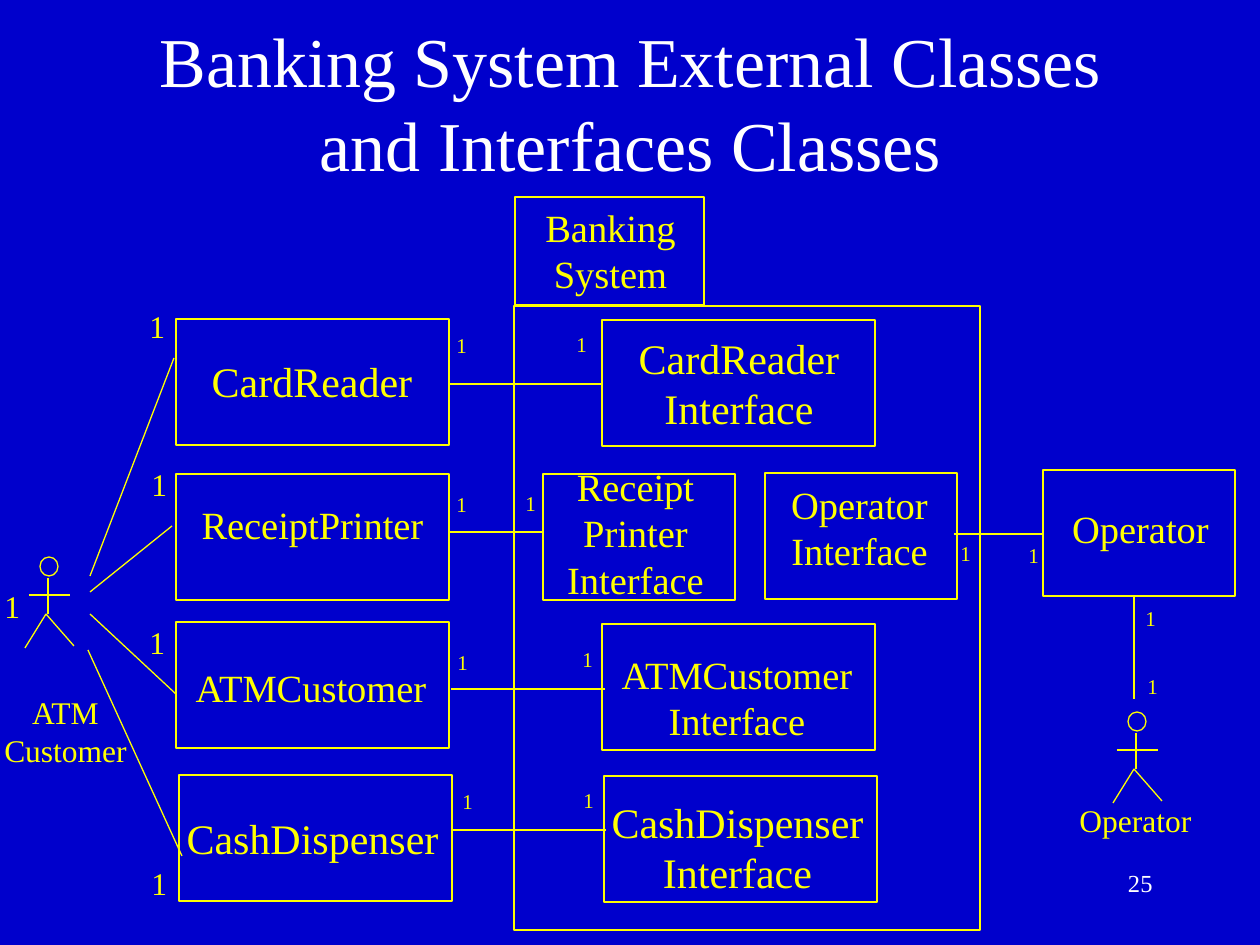
"""Build the slide of external and interface classes of a banking system."""
from typing import NamedTuple

from lxml import etree
from pptx import Presentation
from pptx import util as u
from pptx.dml.color import RGBColor
from pptx.enum import shapes, text
from pptx.oxml.ns import qn

PIXELS_PER_INCH = 126
LINE_HEIGHT = 1.2
FONT = "Times New Roman"
BLUE = RGBColor(0x00, 0x00, 0xCC)
YELLOW = RGBColor(0xFF, 0xFF, 0x00)
WHITE = RGBColor(0xFF, 0xFF, 0xFF)
LEFT, CENTER, RIGHT = text.PP_ALIGN.LEFT, text.PP_ALIGN.CENTER, text.PP_ALIGN.RIGHT


class Box(NamedTuple):
    left: int
    top: int
    width: int = 273
    height: int = 126


class Label(NamedTuple):
    left: int
    top: int
    width: int
    lines: str
    size: int = 22
    align: int = CENTER
    color: RGBColor = YELLOW


class Line(NamedTuple):
    x1: int
    y1: int
    x2: int
    y2: int


SYSTEM_FRAME = Box(514, 306, 466, 624)
BOXES = [
    Box(176, 319), Box(176, 474), Box(176, 622), Box(179, 775),
    Box(515, 197, 189, 108), Box(1043, 470, 192),
    SYSTEM_FRAME,
    Box(602, 320), Box(602, 624), Box(604, 776),
    Box(543, 474, 192), Box(765, 473, 192),
]
CLASS_LABELS = [
    Label(197, 349, 230, "CardReader", 24),
    Label(187, 495, 251, "ReceiptPrinter"),
    Label(179, 658, 264, "ATMCustomer"),
    Label(172, 806, 281, "CashDispenser", 24),
    Label(531, 198, 159, "Banking\nSystem"),
    Label(1056, 499, 169, "Operator"),
    Label(624, 326, 230, "CardReader\nInterface", 24),
    Label(551, 457, 169, "Receipt\nPrinter\nInterface"),
    Label(775, 475, 169, "Operator\nInterface"),
    Label(605, 645, 264, "ATMCustomer\nInterface"),
    Label(597, 790, 281, "CashDispenser\nInterface", 24),
]
ACTOR_LABELS = [
    Label(-12, 687, 155, "ATM\nCustomer", 18),
    Label(1065, 795, 141, "Operator", 18),
]
CUSTOMER_ONES = [(137, 301), (139, 459), (137, 617), (139, 858), (-8, 581)]
INTERFACE_ONES = [
    (444, 326), (564, 325), (444, 485), (513, 484), (445, 643), (570, 640),
    (450, 782), (571, 781), (948, 534), (1016, 536), (1133, 599), (1135, 667),
]
MULTIPLICITIES = [Label(x, y, 41, "1", 18, LEFT) for x, y in CUSTOMER_ONES] + [
    Label(x, y, 36, "1", 12, LEFT) for x, y in INTERFACE_ONES
]
ASSOCIATIONS = [
    Line(90, 576, 174, 358), Line(90, 592, 172, 526),
    Line(90, 614, 176, 694), Line(88, 650, 182, 856),
    Line(449, 384, 602, 384), Line(450, 532, 544, 532),
    Line(451, 689, 605, 689), Line(452, 830, 606, 830),
    Line(954, 534, 1042, 534), Line(1134, 699, 1134, 597),
]
ACTOR_HEADS = [(40, 557), (1128, 712)]
ACTOR_LIMBS = [
    Line(-11, 38, 30, 38), Line(8, 21, 8, 57),
    Line(6, 57, -15, 91), Line(6, 57, 34, 89),
]


def px(length: float) -> int:
    """Turn pixels into EMU."""
    return u.Inches(length / PIXELS_PER_INCH)


def draw_outline(parent, box: Box, kind=shapes.MSO_SHAPE.RECTANGLE) -> None:
    """Draw an unfilled shape with a thin yellow line."""
    shape = parent.add_shape(kind, *map(px, box))
    shape.shadow.inherit = False
    shape.fill.background()
    shape.line.color.rgb = YELLOW
    shape.line.width = u.Pt(0.75)


def draw_line(parent, line: Line) -> None:
    """Draw a thin straight yellow line without shadow."""
    connector = parent.add_connector(shapes.MSO_CONNECTOR.STRAIGHT, *map(px, line))
    connector.line.color.rgb = YELLOW
    connector.line.width = u.Pt(0.75)
    etree.SubElement(connector._element.spPr, qn("a:effectLst"))


def draw_label(parent, label: Label):
    """Draw a text box with one paragraph per line and return its shape."""
    count = label.lines.count("\n") + 1
    height = u.Pt(label.size * LINE_HEIGHT * count) + u.Inches(0.1)
    shape = parent.add_textbox(px(label.left), px(label.top), px(label.width), height)
    frame = shape.text_frame
    frame.word_wrap = False
    frame.auto_size = text.MSO_AUTO_SIZE.SHAPE_TO_FIT_TEXT
    frame.text = label.lines
    for paragraph in frame.paragraphs:
        paragraph.alignment = label.align
        paragraph.font.name = FONT
        paragraph.font.size = u.Pt(label.size)
        paragraph.font.color.rgb = label.color
    return shape


def draw_fixed_label(parent, label: Label, height: int) -> None:
    """Draw a wrapping, vertically centred label of a set height."""
    shape = draw_label(parent, label)
    shape.height = px(height)
    shape.text_frame.word_wrap = True
    shape.text_frame.auto_size = text.MSO_AUTO_SIZE.NONE
    shape.text_frame.vertical_anchor = text.MSO_ANCHOR.MIDDLE


def draw_actor(parent, left: int, top: int) -> None:
    """Draw a grouped stick figure whose head starts at the given point."""
    group = parent.add_group_shape().shapes
    draw_outline(group, Box(left, top, 18, 19), shapes.MSO_SHAPE.FLOWCHART_CONNECTOR)
    for limb in ACTOR_LIMBS:
        draw_line(group, Line(left + limb.x1, top + limb.y1, left + limb.x2, top + limb.y2))


def main() -> None:
    """Draw the whole slide and save it."""
    presentation = Presentation()
    presentation.slide_width, presentation.slide_height = px(1260), px(945)
    slide = presentation.slides.add_slide(presentation.slide_layouts[6])
    slide.background.fill.solid()
    slide.background.fill.fore_color.rgb = BLUE
    parent = slide.shapes

    heading = "Banking System External Classes and Interfaces Classes"
    draw_fixed_label(parent, Label(95, 23, 1071, heading, 40, CENTER, WHITE), 157)
    for box in BOXES:
        draw_outline(parent, box)
    for left, top in ACTOR_HEADS:
        draw_actor(parent, left, top)
    for line in ASSOCIATIONS:
        draw_line(parent, line)
    for label in CLASS_LABELS + ACTOR_LABELS + MULTIPLICITIES:
        draw_label(parent, label)
    draw_fixed_label(parent, Label(903, 861, 262, "25", 14, RIGHT, WHITE), 43)
    presentation.save("out.pptx")


if __name__ == "__main__":
    main()
